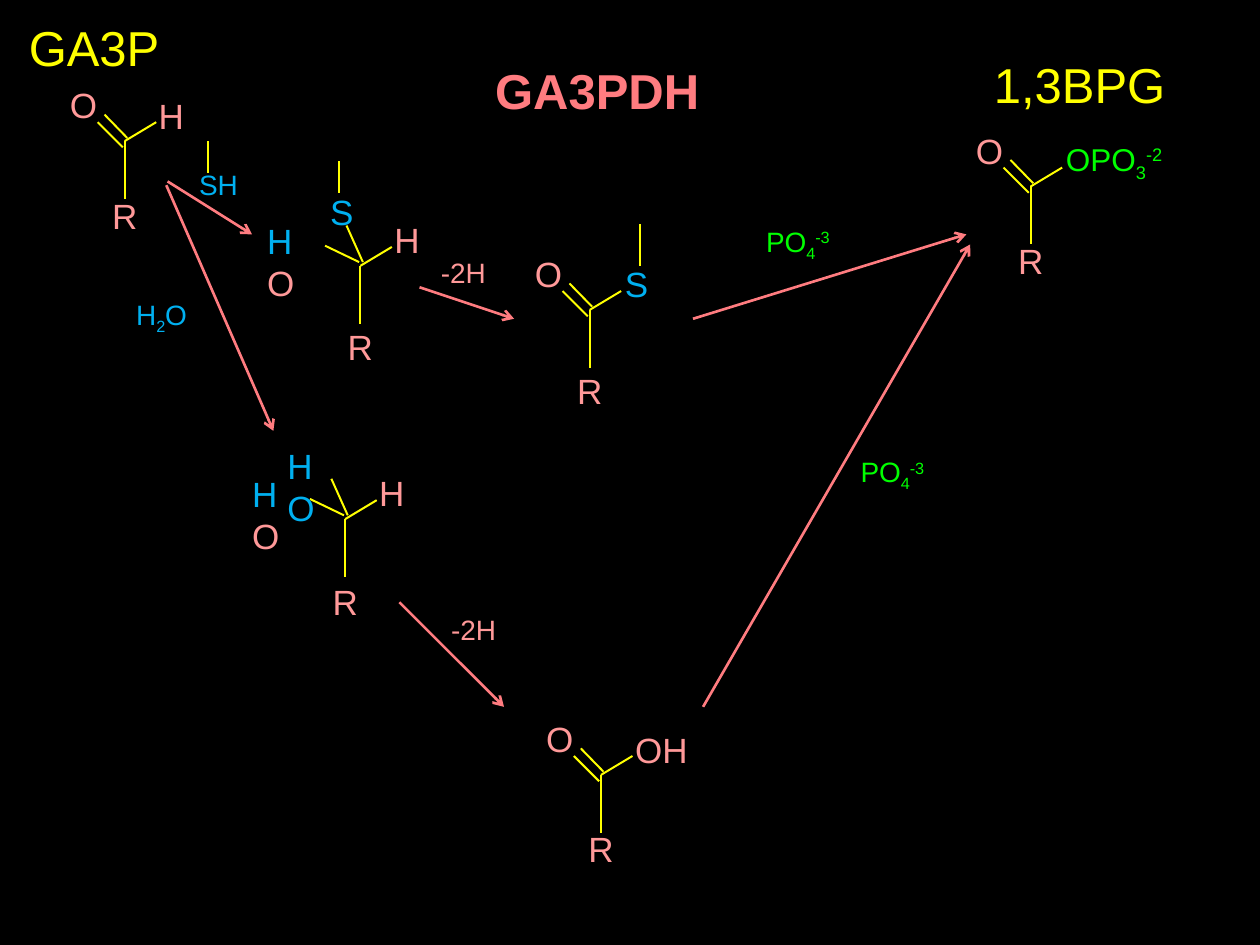
from dataclasses import dataclass

from lxml import etree
from pptx import Presentation
from pptx.dml.color import RGBColor
from pptx.enum.shapes import MSO_CONNECTOR
from pptx.enum.text import MSO_ANCHOR, MSO_AUTO_SIZE, PP_ALIGN
from pptx.oxml.ns import qn
from pptx.util import Inches, Pt


@dataclass(frozen=True)
class Theme:
    """Colours, type sizes and line widths of the slide."""
    font: str = "Arial"
    background: str = "000000"
    bond: str = "FFFF00"
    heading: str = "FFFF00"
    enzyme: str = "FF7C80"
    atom: str = "FF9999"
    added: str = "00B0F0"
    phosphate: str = "00FF00"
    heading_size: int = 28
    atom_size: int = 20
    group_size: int = 18
    reagent_size: int = 16
    bond_width: float = 1.13
    arrow_width: float = 1.5


THEME = Theme()
COLUMNS, ROWS = 100, 75
CELL = Inches(10) / COLUMNS
SUB, SUP = -25000, 30000

STEM = ((0, 0), (0, 4.6))
RIGHT_BOND = ((0, 0), (2.5, -1.5))
DOUBLE_BOND = [((0.2, -0.25), (-1.6, -2.1)), ((-0.15, 0.5), (-2.15, -1.5))]
TETRAHEDRAL_BONDS = [((0.2, -0.3), (-1.1, -3.2)), ((-0.1, -0.3), (-2.8, -1.6))]
PHOSPHATE = [("PO", THEME.phosphate), ("4", THEME.phosphate, SUB), ("-3", THEME.phosphate, SUP)]
PHOSPHORYL = [("OPO", THEME.phosphate), ("3", THEME.phosphate, SUB), ("-2", THEME.phosphate, SUP)]
WATER = [("H", THEME.added), ("2", THEME.added, SUB), ("O", THEME.added)]


def cells(count):
    """Convert grid cells to a slide length."""
    return round(count * CELL)


def write_runs(frame, runs, size, bold=False):
    """Fill a text frame with (text, colour, baseline) runs."""
    paragraph = frame.paragraphs[0]
    paragraph.alignment = PP_ALIGN.LEFT
    for text, color, *baseline in runs:
        run = paragraph.add_run()
        run.text = text
        run.font.name, run.font.size, run.font.bold = THEME.font, Pt(size), bold
        run.font.color.rgb = RGBColor.from_string(color)
        if baseline:
            run.font._element.set("baseline", str(baseline[0]))


def add_label(shapes, x, y, width, height, runs, size, wrap=False, inset=False):
    """Add a text box that grows with its text."""
    box = shapes.add_textbox(*map(cells, (x, y, width, height)))
    frame = box.text_frame
    frame.word_wrap = wrap
    frame.auto_size = MSO_AUTO_SIZE.SHAPE_TO_FIT_TEXT
    if not inset:
        frame.margin_left = frame.margin_top = frame.margin_right = frame.margin_bottom = 0
    write_runs(frame, runs, size)


def add_line(shapes, start, end, color=THEME.bond, width=THEME.bond_width, arrow=False):
    """Add a bond, or a reaction arrow."""
    line = shapes.add_connector(MSO_CONNECTOR.STRAIGHT, *map(cells, (*start, *end)))
    line.line.color.rgb = RGBColor.from_string(color)
    line.line.width = Pt(width)
    properties = line._element.spPr
    if arrow:
        etree.SubElement(properties.find(qn("a:ln")), qn("a:tailEnd"), type="arrow")
    etree.SubElement(properties, qn("a:effectLst"))


def add_molecule(slide, carbon, bonds, atoms, r_drop=4.2):
    """Group the bonds and atoms placed around one carbon."""
    shapes = slide.shapes.add_group_shape().shapes
    cx, cy = carbon
    for bond in [STEM, RIGHT_BOND, *bonds]:
        add_line(shapes, *((cx + x, cy + y) for x, y in bond))
    for x, y, width, runs, *size in [*atoms, (-1, r_drop, 2, [("R", THEME.atom)])]:
        add_label(shapes, cx + x, cy + y, width, 3.3, runs,
                  size[0] if size else THEME.atom_size, wrap=width == 4.1)


def add_carbonyl(slide, carbon, substituent, bonds=(), r_drop=4.2):
    """Add a double-bonded oxygen carbon with one substituent."""
    oxygen = (-4.35, -4.55, 2.2, [("O", THEME.atom)])
    add_molecule(slide, carbon, [*DOUBLE_BOND, *bonds], [oxygen, substituent], r_drop)


def add_adduct(slide, carbon, upper, bonds=(), r_drop=4.8):
    """Add a tetrahedral carbon with hydroxyl, hydrogen and an upper group."""
    hydroxyl = (-7.4, -3.7, 4.1, [("H", THEME.added), ("O", THEME.atom)])
    hydrogen = (2.7, -3.75, 2, [("H", THEME.atom)])
    add_molecule(slide, carbon, [*TETRAHEDRAL_BONDS, *bonds], [hydroxyl, hydrogen, upper], r_drop)


def add_title(slide):
    """Place the enzyme name in the title placeholder."""
    title = slide.shapes.title
    title.left, title.top, title.width, title.height = map(cells, (38.3, 4.3, 18.4, 5.7))
    frame = title.text_frame
    frame.word_wrap = False
    frame.auto_size = MSO_AUTO_SIZE.NONE
    frame.vertical_anchor = MSO_ANCHOR.TOP
    write_runs(frame, [("GA3PDH", THEME.enzyme)], THEME.heading_size, bold=True)


def add_molecules(slide):
    """Add the six reaction species."""
    add_carbonyl(slide, (9.9, 11.2), (2.7, -3.7, 2, [("H", THEME.atom)]))
    add_carbonyl(slide, (47.7, 61.5), (2.7, -3.7, 4.2, [("OH", THEME.atom)]))
    add_carbonyl(slide, (46.8, 24.6), (2.8, -3.8, 1.9, [("S", THEME.added)]),
                 [((4, -6.8), (4, -3.5))], r_drop=4.7)
    add_carbonyl(slide, (81.8, 14.8), (2.8, -3.7, 8, PHOSPHORYL, THEME.group_size))
    add_adduct(slide, (27.4, 41.2), (-4.6, -5.9, 4.1, [("HO", THEME.added)]), r_drop=4.9)
    add_adduct(slide, (28.6, 21.1), (-2.4, -6, 4.1, [("S", THEME.added)]),
               [((-1.7, -5.8), (-1.7, -8.3))], r_drop=4.7)


def add_reactions(slide):
    """Add reaction arrows, reagents and the free thiol."""
    for start, end in [((13.2, 14.7), (21.7, 34.2)), ((31.7, 47.8), (40, 56.1)),
                       ((13.3, 14.4), (20, 18.6)), ((33.3, 22.8), (40.8, 25.3)),
                       ((55, 25.3), (76.7, 18.6)), ((55.8, 56.1), (77, 19.4))]:
        add_line(slide.shapes, start, end, THEME.enzyme, THEME.arrow_width, arrow=True)
    oxidation, thiol = [("-2H", THEME.atom)], [("SH", THEME.added)]
    for x, y, width, runs in [(15.8, 13.3, 4.2, thiol), (10.8, 23.6, 5.8, WATER),
                              (35, 20.3, 5, oxidation), (35.8, 48.6, 5, oxidation),
                              (60.8, 17.8, 7.5, PHOSPHATE), (68.3, 36.1, 7.5, PHOSPHATE)]:
        add_label(slide.shapes, x, y, width, 2.7, runs, THEME.reagent_size, wrap=True)
    add_line(slide.shapes, (16.5, 13.7), (16.5, 11.2))


def main():
    """Build and save the slide."""
    deck = Presentation()
    deck.slide_width, deck.slide_height = cells(COLUMNS), cells(ROWS)
    slide = deck.slides.add_slide(deck.slide_layouts[5])
    slide.background.fill.solid()
    slide.background.fill.fore_color.rgb = RGBColor.from_string(THEME.background)
    add_title(slide)
    add_molecules(slide)
    add_reactions(slide)
    for x, y, width, name in [(1.3, 0.9, 12.5, "GA3P"), (77.9, 3.8, 15.8, "1,3BPG")]:
        add_label(slide.shapes, x, y, width, 5.7, [(name, THEME.heading)],
                  THEME.heading_size, inset=True)
    deck.save("out.pptx")


main()
